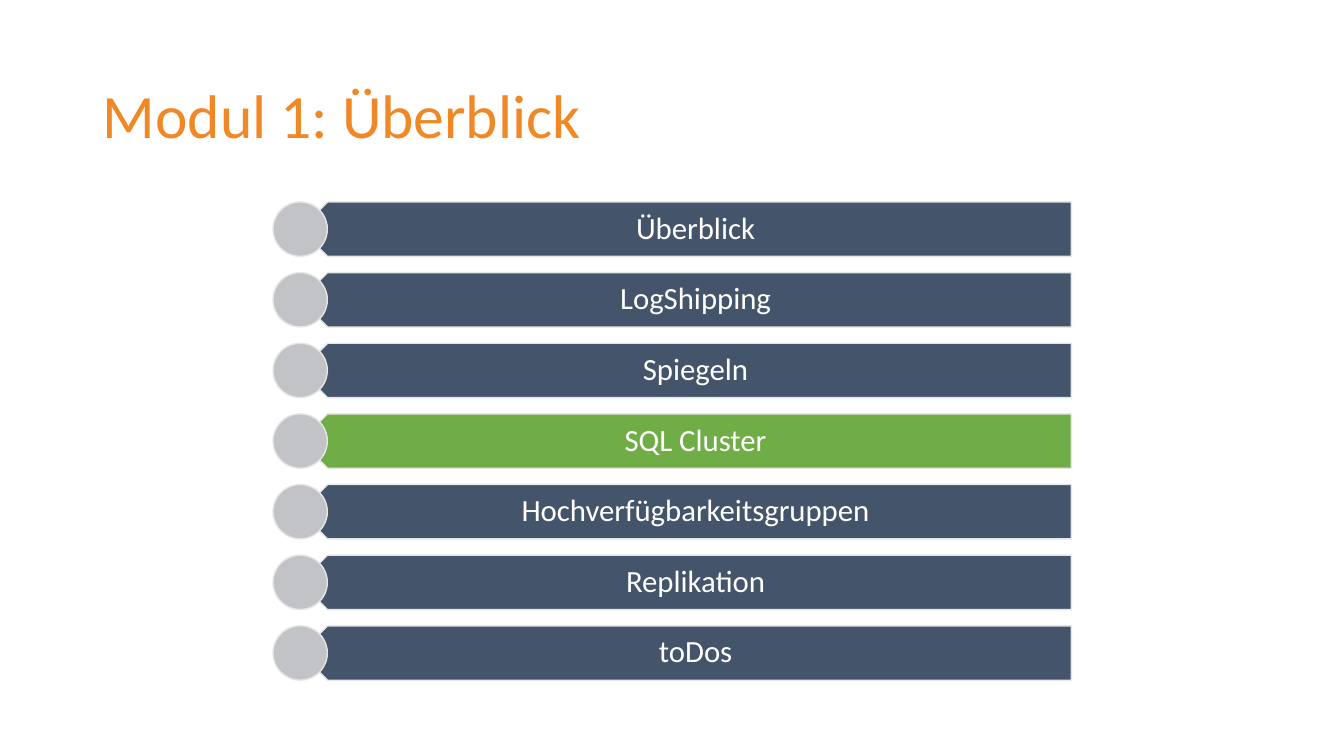
import dataclasses
import typing

import pptx
import pptx.dml.color
import pptx.enum.shapes
import pptx.enum.text
import pptx.util

Cm = pptx.util.Cm
Pt = pptx.util.Pt
Color = pptx.dml.color.RGBColor
Preset = pptx.enum.shapes.MSO_SHAPE
Align = pptx.enum.text.PP_ALIGN


@dataclasses.dataclass(frozen=True)
class Theme:
    font: str = "Calibri"
    title_size: int = 44
    topic_size: int = 22
    title: str = "F18826"
    topic_text: str = "FFFFFF"
    bar: str = "44546A"
    current_bar: str = "70AD47"
    dot: str = "C1C3C7"
    outline: str = "E7E6E6"


@dataclasses.dataclass(frozen=True)
class Area:
    """A rectangle in centimetres."""
    left: float
    top: float
    width: float
    height: float

    def lengths(self) -> list[pptx.util.Length]:
        return [Cm(value) for value in dataclasses.astuple(self)]


@dataclasses.dataclass(frozen=True)
class Topic:
    name: str
    current: bool = False


THEME = Theme()
TITLE_AREA = Area(2.34, 1.27, 29.21, 3.43)
FIRST_TOP, ROW_PITCH, ROW_HEIGHT = 5.09, 1.78, 1.37
TOPICS = [
    Topic("Überblick"),
    Topic("LogShipping"),
    Topic("Spiegeln"),
    Topic("SQL Cluster", current=True),
    Topic("Hochverfügbarkeitsgruppen"),
    Topic("Replikation"),
    Topic("toDos"),
]


def apply_format(target: typing.Any, values: dict[str, typing.Any]) -> None:
    for name, value in values.items():
        setattr(target, name, value)


def add_text(page: typing.Any, area: Area, text: str, size: int, color: str,
             align: Align, margins: tuple[float, float, float, float]) -> None:
    box = page.shapes.add_textbox(*area.lengths())
    left, top, right, bottom = (Cm(margin) for margin in margins)
    apply_format(box.text_frame, {
        "word_wrap": True,
        "vertical_anchor": pptx.enum.text.MSO_ANCHOR.MIDDLE,
        "margin_left": left, "margin_top": top,
        "margin_right": right, "margin_bottom": bottom,
    })
    para = box.text_frame.paragraphs[0]
    apply_format(para, {"alignment": align, "line_spacing": 0.9})
    span = para.add_run()
    span.text = text
    apply_format(span.font, {"name": THEME.font, "size": Pt(size)})
    span.font.color.rgb = Color.from_string(color)


def add_outlined(page: typing.Any, preset: Preset, area: Area, fill: str,
                 rotation: float = 0) -> None:
    shape = page.shapes.add_shape(preset, *area.lengths())
    shape.rotation = rotation
    shape.shadow.inherit = False
    shape.fill.solid()
    shape.fill.fore_color.rgb = Color.from_string(fill)
    shape.line.color.rgb = Color.from_string(THEME.outline)
    shape.line.width = Pt(1)


def add_topic(page: typing.Any, topic: Topic, top: float) -> None:
    # Bar pointing left, its upright label, then the dot over the tip
    fill = THEME.current_bar if topic.current else THEME.bar
    add_outlined(page, Preset.PENTAGON, Area(7.57, top, 19.43, ROW_HEIGHT), fill, 180)
    add_text(page, Area(7.9, top, 19.08, ROW_HEIGHT), topic.name, THEME.topic_size,
             THEME.topic_text, Align.CENTER, (0.61, 0.23, 0.43, 0.23))
    add_outlined(page, Preset.OVAL, Area(6.88, top, ROW_HEIGHT, ROW_HEIGHT), THEME.dot)


def main() -> None:
    deck = pptx.Presentation()
    apply_format(deck, {"slide_width": Cm(33.87), "slide_height": Cm(19.05)})
    page = deck.slides.add_slide(deck.slide_layouts[6])

    # Title
    add_text(page, TITLE_AREA, "Modul 1: Überblick", THEME.title_size, THEME.title,
             Align.LEFT, (0.25, 0.13, 0.25, 0.13))

    # Agenda rows
    for row, topic in enumerate(TOPICS):
        add_topic(page, topic, FIRST_TOP + row * ROW_PITCH)

    deck.save("out.pptx")


if __name__ == "__main__":
    main()
